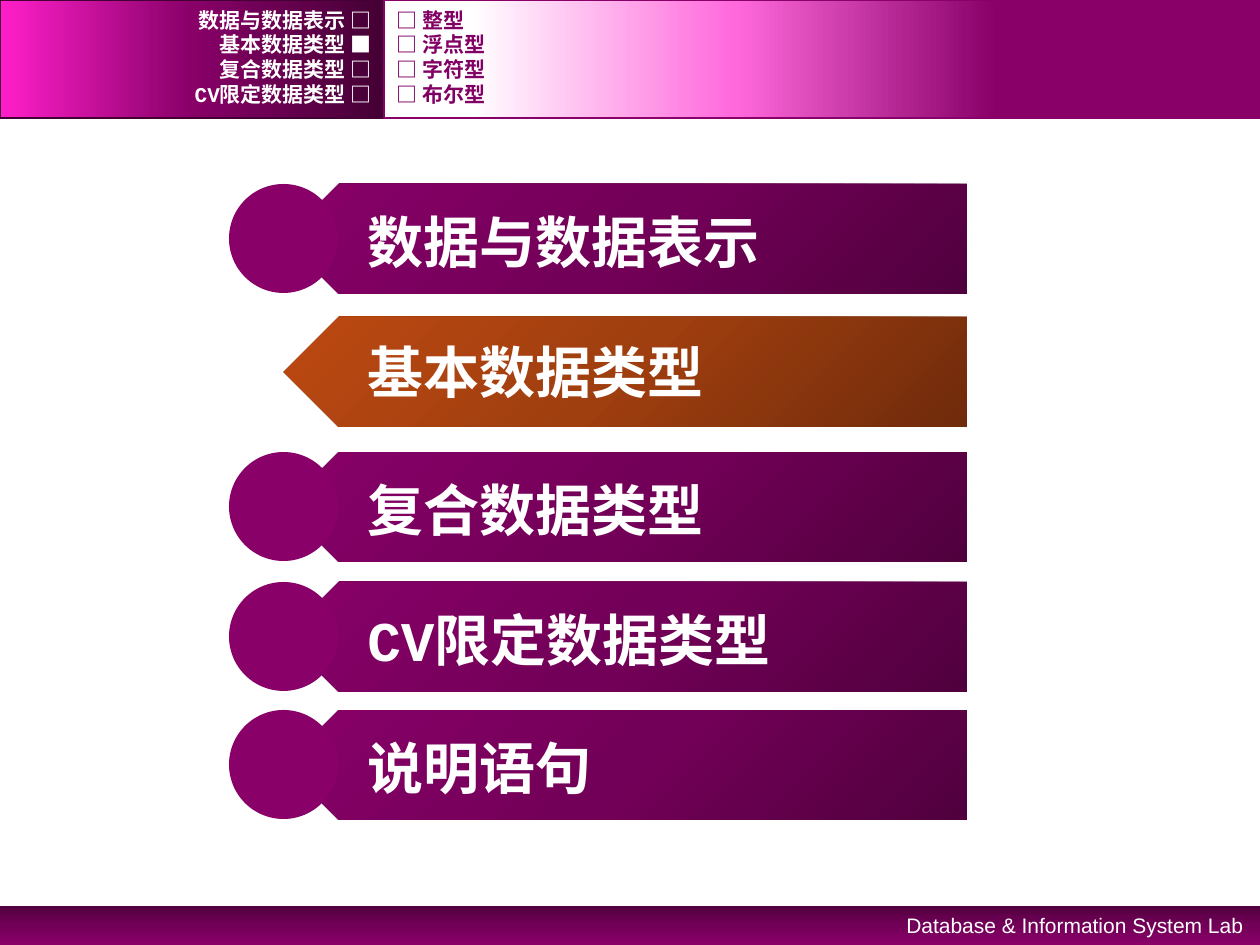
import pptx
import pptx.util
import pptx.dml.color
import pptx.enum.shapes
import pptx.enum.text
import pptx.oxml
import pptx.oxml.ns
from dataclasses import dataclass

SCALE = 914400 / 126
KIND = pptx.enum.shapes.MSO_SHAPE
ALIGN = pptx.enum.text.PP_ALIGN
ANCHOR = pptx.enum.text.MSO_ANCHOR


@dataclass(frozen=True)
class Theme:
    """Colours, fonts and type sizes of the slide."""
    white: str = "FFFFFF"
    plum: str = "880068"
    dark: str = "440034"
    ink: str = "820064"
    bar: tuple = ((0, "51003E"), (50, "730058"), (100, "880068"))
    warm: tuple = ((0, "702B0B"), (50, "9F3E0F"), (100, "BD4912"))
    left: tuple = ((0, "440034"), (50, "880068"), (100, "FF1FCA"))
    right: tuple = ((30, "880068"), (60, "FF69DC"), (90, "FFFFFF"))
    code: str = "Courier New"
    sans: str = "Arial"
    large: int = 32
    small: int = 12


THEME = Theme()


def px(num):
    """Turn pixels into EMU."""
    return pptx.util.Emu(round(num * SCALE))


def rgb(code):
    """Make a colour from its hex code."""
    return pptx.dml.color.RGBColor.from_string(code)


def blend(shape, stops, angle):
    """Fill a shape with a gradient at a counterclockwise angle."""
    shape.fill.gradient()
    shape.fill.gradient_angle = angle
    space = pptx.oxml.ns.nsdecls("a")
    items = shape._element.spPr.find(".//" + pptx.oxml.ns.qn("a:gsLst"))
    for item in list(items):
        items.remove(item)
    for place, code in stops:
        items.append(pptx.oxml.parse_xml(
            f'<a:gs {space} pos="{place * 1000}"><a:srgbClr val="{code}"/></a:gs>'))


def draw(slide, kind, box, fill, angle=0, line=None):
    """Add a shape with a plain or gradient fill."""
    shape = slide.shapes.add_shape(kind, *map(px, box))
    shape.shadow.inherit = False
    if isinstance(fill, str):
        shape.fill.solid()
        shape.fill.fore_color.rgb = rgb(fill)
    else:
        blend(shape, fill, angle)
    if line:
        shape.line.color.rgb = rgb(line)
        shape.line.width = pptx.util.Pt(1)
    else:
        shape.line.fill.background()
    return shape


def write(slide, text, box, size=THEME.small, font=THEME.code, color=THEME.white,
          bold=True, align=ALIGN.LEFT, anchor=ANCHOR.TOP):
    """Add a text box with one formatted line."""
    frame = slide.shapes.add_textbox(*map(px, box)).text_frame
    frame.word_wrap = True
    frame.vertical_anchor = anchor
    para = frame.paragraphs[0]
    para.alignment = align
    run = para.add_run()
    run.text = text
    run.font.size = pptx.util.Pt(size)
    run.font.name = font
    run.font.bold = bold
    run.font.color.rgb = rgb(color)


def panel(slide, box, fill, line, lines, width, color, align):
    """Draw one half of the header with its list of lines."""
    x, y, _, _ = box
    draw(slide, KIND.RECTANGLE, box, fill, 180, line)
    for i, text in enumerate(lines):
        write(slide, text, (x, y + 8 + 74 * i // 3, width, 25),
              color=color, align=align, anchor=ANCHOR.MIDDLE)


def foot(slide, box):
    """Draw the footer band with the name of the lab."""
    x, y, w, h = box
    draw(slide, KIND.RECTANGLE, box, THEME.bar, 270)
    write(slide, "Database & Information System Lab", (x + w - 451, y, 447, h),
          font=THEME.sans, bold=False, align=ALIGN.RIGHT)


def topic(slide, box, text, live):
    """Draw one topic bar, with a disc unless it is the live one."""
    x, y, w, h = box
    bar = draw(slide, KIND.PENTAGON, (x + 55, y, w - 55, h),
               THEME.warm if live else THEME.bar, 45)
    bar._element.spPr.xfrm.set("flipH", "1")
    if not live:
        draw(slide, KIND.OVAL, (x, y, 109, 109), THEME.plum)
    write(slide, text, (x + 126, y + (14 if live else 17), 595, 81), size=THEME.large)


def main():
    """Build and save the slide."""
    deck = pptx.Presentation()
    deck.slide_width, deck.slide_height = px(1260), px(945)
    slide = deck.slides.add_slide(deck.slide_layouts[6])
    names = ["数据与数据表示", "基本数据类型", "复合数据类型", "CV限定数据类型", "说明语句"]
    kinds = ["整型", "浮点型", "字符型", "布尔型"]
    now = 1
    foot(slide, (0, 906, 1260, 39))
    marks = [f"{name} {'■' if i == now else '□'}" for i, name in enumerate(names[:4])]
    panel(slide, (0, 0, 384, 118), THEME.left, THEME.dark, marks, 384,
          THEME.white, ALIGN.RIGHT)
    panel(slide, (384, 0, 876, 118), THEME.right, THEME.plum,
          [f"□ {kind}" for kind in kinds], 759, THEME.ink, ALIGN.LEFT)
    for i, (name, top) in enumerate(zip(names, (184, 317, 452, 582, 710))):
        topic(slide, (229, top, 738, 110), name, i == now)
    deck.save("out.pptx")


if __name__ == "__main__":
    main()
